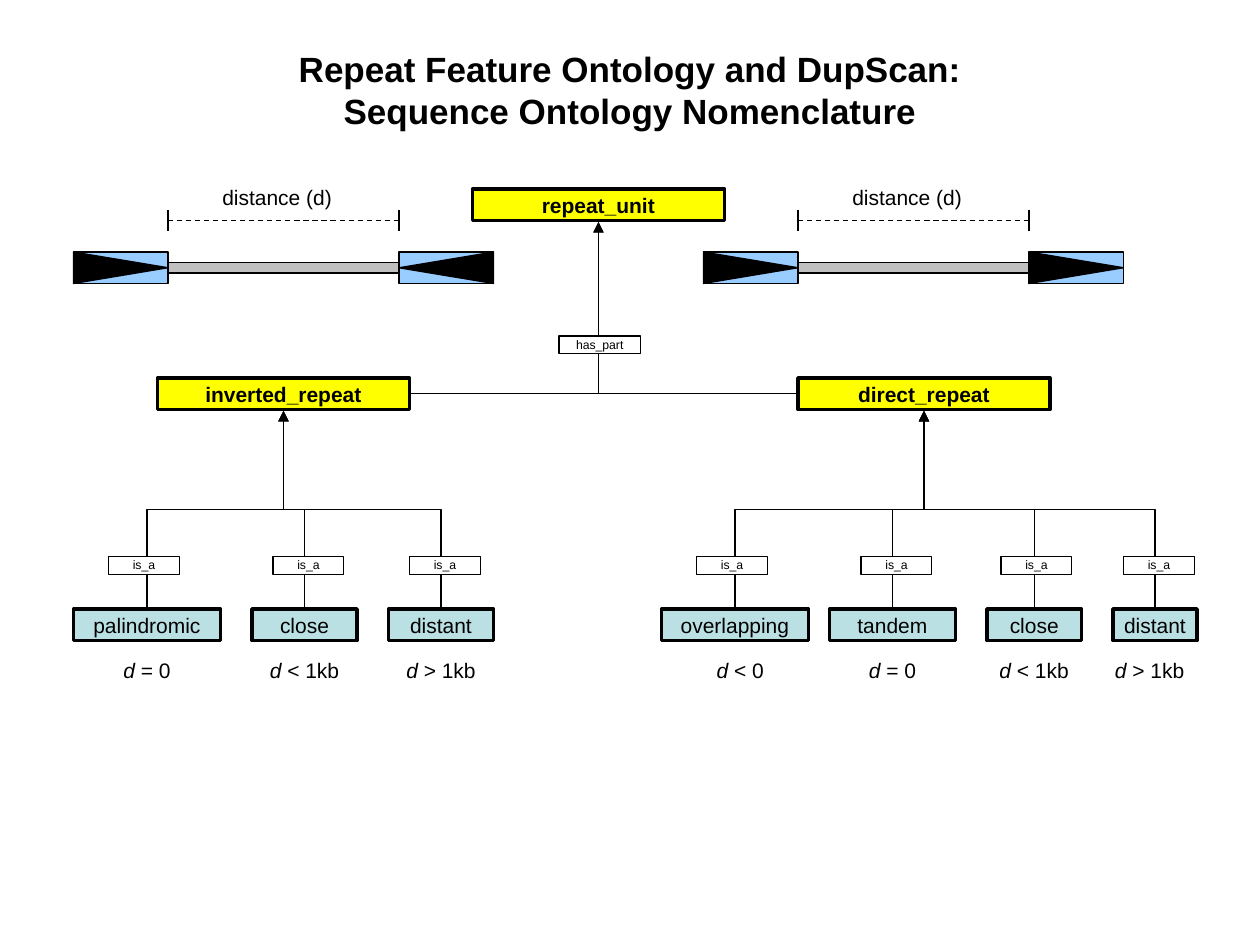
"""Draw the repeat feature ontology tree with its two distance diagrams."""
from dataclasses import dataclass
from typing import NamedTuple

from lxml.etree import SubElement
from pptx import Presentation
from pptx.dml.color import RGBColor
from pptx.enum.dml import MSO_LINE
from pptx.enum.shapes import MSO_CONNECTOR, MSO_SHAPE
from pptx.enum.text import MSO_ANCHOR, MSO_AUTO_SIZE, PP_ALIGN
from pptx.oxml.ns import qn
from pptx.util import Pt


@dataclass(frozen=True)
class Theme:
    font: str = "Arial"
    black: str = "000000"
    white: str = "FFFFFF"
    parent: str = "FFFF00"
    child: str = "BBE0E3"
    repeat: str = "99CCFF"
    spacer: str = "C0C0C0"
    title: float = 20
    body: float = 12
    tag: float = 7
    thin: float = 0.75
    thick: float = 2


class Box(NamedTuple):
    x: float
    y: float
    w: float
    h: float

    @property
    def cx(self) -> float:
        return self.x + self.w / 2


class Child(NamedTuple):
    name: str
    x: float
    w: float
    tag_x: float
    rule: str
    rule_x: float
    rule_w: float


class Parent(NamedTuple):
    name: str
    box: Box
    children: tuple[Child, ...]


class Diagram(NamedTuple):
    x: float
    label_x: float
    right_angle: int


T = Theme()
ROOT = Box(270, 108, 144, 18)
PARENTS = (
    Parent("inverted_repeat", Box(90, 216, 144, 18), (
        Child("palindromic", 42, 84, 62, " = 0", 42, 84),
        Child("close", 144, 60, 156, " < 1kb", 144, 60),
        Child("distant", 222, 60, 234, " > 1kb", 222, 60))),
    Parent("direct_repeat", Box(456, 216, 144, 18), (
        Child("overlapping", 378, 84, 398, " < 0", 384, 78),
        Child("tandem", 474, 72, 492, " = 0", 480, 60),
        Child("close", 564, 54, 572, " < 1kb", 558, 66),
        Child("distant", 636, 48, 642, " > 1kb", 624, 66))),
)
DIAGRAMS = (Diagram(42, 120, 270), Diagram(402, 480, 90))
CHILD_Y, TAG_Y, RULE_Y = 348, 318, 372
GAP = 0.9


def add_run(p, text: str, size: float, bold: bool = False, italic: bool = False) -> None:
    r = p.add_run()
    r.text = text
    r.font.name, r.font.size = T.font, Pt(size)
    r.font.bold, r.font.italic = bold, italic
    r.font.color.rgb = RGBColor.from_string(T.black)


def add_box(s, b: Box, fill: str, line: float = T.thin, kind=MSO_SHAPE.RECTANGLE, angle: int = 0):
    sp = s.shapes.add_shape(kind, *map(Pt, b))
    sp.shadow.inherit = False
    sp.rotation = angle
    sp.fill.solid()
    sp.fill.fore_color.rgb = RGBColor.from_string(fill)
    sp.line.color.rgb = RGBColor.from_string(T.black)
    sp.line.width = Pt(line)
    return sp


def add_node(s, b: Box, text: str, fill: str, bold: bool = False) -> None:
    tf = add_box(s, b, fill, T.thick).text_frame
    tf.word_wrap = False
    tf.vertical_anchor = MSO_ANCHOR.MIDDLE
    tf.paragraphs[0].alignment = PP_ALIGN.CENTER
    add_run(tf.paragraphs[0], text, T.body, bold)


def add_tag(s, b: Box, text: str) -> None:
    tf = add_box(s, b, T.white).text_frame
    tf.word_wrap = True
    tf.vertical_anchor = MSO_ANCHOR.TOP
    tf.margin_top = tf.margin_bottom = Pt(0.72)
    tf.paragraphs[0].alignment = PP_ALIGN.CENTER
    add_run(tf.paragraphs[0], text, T.tag)


def add_label(s, b: Box, wrap: bool = True):
    tf = s.shapes.add_textbox(*map(Pt, b)).text_frame
    tf.word_wrap = wrap
    return tf.paragraphs[0]


def add_line(s, x1: float, y1: float, x2: float, y2: float, kind=MSO_CONNECTOR.STRAIGHT):
    c = s.shapes.add_connector(kind, Pt(x1), Pt(y1), Pt(x2), Pt(y2))
    c.line.color.rgb = RGBColor.from_string(T.black)
    c.line.width = Pt(T.thin)
    SubElement(c._element.spPr, qn("a:effectLst"))
    return c


def add_elbow(s, b: Box, preset: str, angle: int, flips: str) -> None:
    c = add_line(s, b.x, b.y, b.x + b.w, b.y + b.h, MSO_CONNECTOR.ELBOW)
    pr = c._element.spPr
    pr.find(qn("a:prstGeom")).set("prst", preset)
    xfrm = pr.find(qn("a:xfrm"))
    xfrm.set("rot", str(angle * 60000))
    for f in flips:
        xfrm.set(f"flip{f}", "1")
    SubElement(pr.find(qn("a:ln")), qn("a:tailEnd"), type="triangle")


def add_branch(s, x1: float, y1: float, x2: float, y2: float) -> None:
    rise, run = y1 - y2, abs(x2 - x1)
    b = Box((x1 + x2 - rise) / 2, (y1 + y2 - run) / 2, rise, run)
    angle, flips = (90, "HV") if x2 > x1 else (270, "V")
    add_elbow(s, b, "bentConnector3", angle, flips)


def add_diagram(s, d: Diagram) -> None:
    left, right = d.x + 54, d.x + 186
    for x, angle in ((d.x, 90), (right, d.right_angle)):
        add_box(s, Box(x, 144, 54, 18), T.repeat)
        add_box(s, Box(x + 18, 126, 18, 54), T.black, kind=MSO_SHAPE.ISOSCELES_TRIANGLE, angle=angle)
    add_box(s, Box(left, 150, right - left, 6), T.spacer)
    for x in (left, right):
        add_line(s, x, 120, x, 132)
    add_line(s, left, 126, right, 126).line.dash_style = MSO_LINE.DASH
    add_run(add_label(s, Box(d.label_x, 102, 77, 21.6), False), "distance (d)", T.body)


def add_parent(s, parent: Parent) -> None:
    b = parent.box
    add_node(s, b, parent.name, T.parent, True)
    for c in parent.children:
        add_node(s, Box(c.x, CHILD_Y, c.w, 18), c.name, T.child)
        add_branch(s, c.x + c.w / 2, CHILD_Y - GAP, b.cx, b.y + b.h + GAP)
    for c in parent.children:
        add_tag(s, Box(c.tag_x, TAG_Y, 40.5, 10.2), "is_a")
        p = add_label(s, Box(c.rule_x, RULE_Y, c.rule_w, 21.6))
        p.alignment = PP_ALIGN.CENTER
        add_run(p, "d", T.body, italic=True)
        add_run(p, c.rule, T.body)


def add_title(s) -> None:
    sp = s.shapes.title
    sp.left, sp.top, sp.width, sp.height = map(Pt, (18, 24, 684, 54))
    tf = sp.text_frame
    tf.auto_size = MSO_AUTO_SIZE.NONE
    tf.vertical_anchor = MSO_ANCHOR.MIDDLE
    p = tf.paragraphs[0]
    p.alignment = PP_ALIGN.CENTER
    add_run(p, "Repeat Feature Ontology and DupScan:", T.title, True)
    p.add_line_break()
    add_run(p, "Sequence Ontology Nomenclature", T.title, True)


def main() -> None:
    prs = Presentation()
    prs.slide_width, prs.slide_height = Pt(720), Pt(540)
    s = prs.slides.add_slide(prs.slide_layouts[5])
    add_title(s)
    for d in DIAGRAMS:
        add_diagram(s, d)
    for parent in PARENTS:
        add_parent(s, parent)
    add_node(s, ROOT, "repeat_unit", T.parent, True)
    inverted, direct = (parent.box for parent in PARENTS)
    top, start = ROOT.y + ROOT.h + GAP, inverted.x + inverted.w + GAP
    rise = inverted.y + inverted.h / 2 - top
    add_elbow(s, Box(start, top, ROOT.cx - start, rise), "bentConnector2", 0, "V")
    add_elbow(s, Box(ROOT.cx, top, direct.x - GAP - ROOT.cx, rise), "bentConnector2", 180, "")
    add_tag(s, Box(319.5, 192, 46.5, 10.2), "has_part")
    prs.save("out.pptx")


if __name__ == "__main__":
    main()
